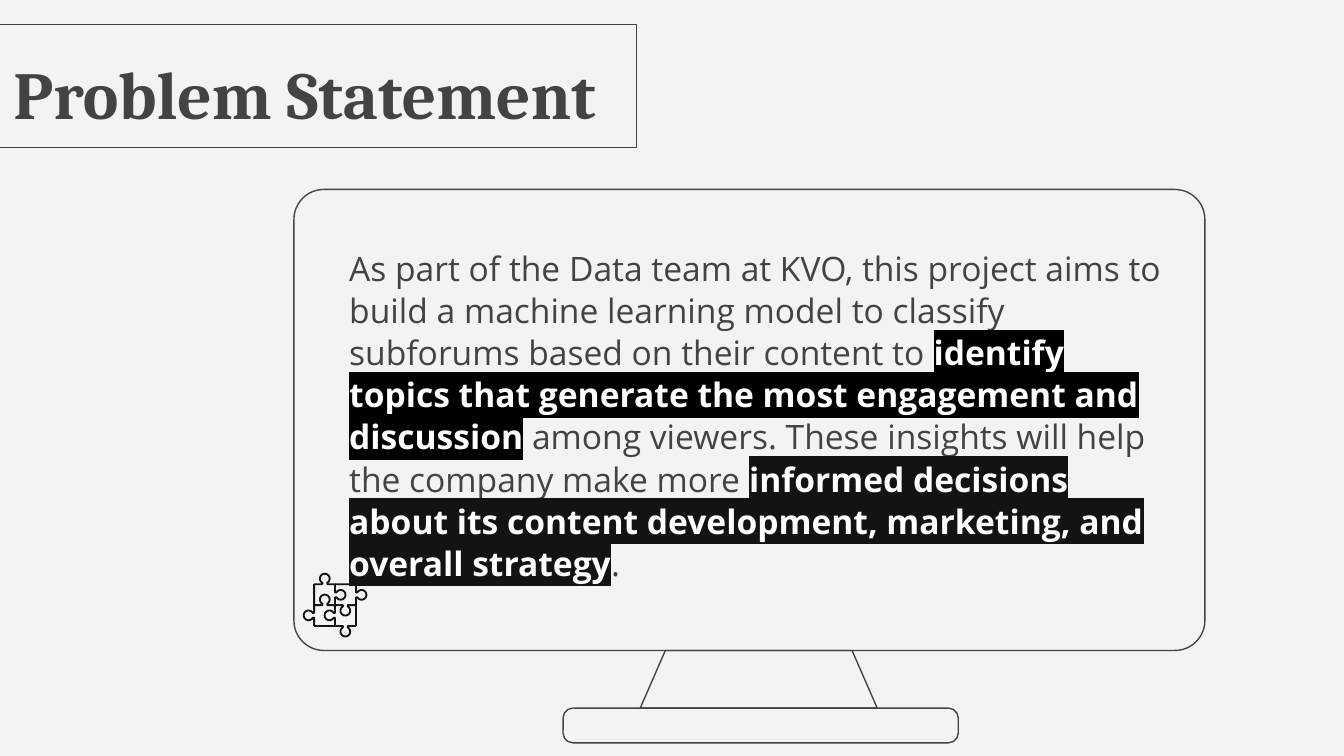
from math import cos, radians, sin

from lxml.etree import SubElement
from pptx import Presentation
from pptx.dml.color import RGBColor
from pptx.enum.shapes import MSO_SHAPE as Preset
from pptx.enum.text import MSO_ANCHOR as Anchor, MSO_AUTO_SIZE as AutoSize, PP_ALIGN as Align
from pptx.oxml.ns import qn
from pptx.util import Pt

PAPER = RGBColor(0xF3, 0xF3, 0xF3)
INK = RGBColor(0x43, 0x43, 0x43)
DARK = RGBColor(0x13, 0x13, 0x13)
BLACK = RGBColor(0, 0, 0)
WHITE = RGBColor(0xFF, 0xFF, 0xFF)

STATEMENT = [
    ("As part of the Data team at KVO, this project aims to build a machine learning model "
     "to classify subforums based on their content to ", None),
    ("identify topics that generate the most engagement and discussion", BLACK),
    (" among viewers. These insights will help the company make more ", None),
    ("informed decisions about its content development, marketing, and overall strategy", DARK),
    (".", None),
]


class SlideWriter:
    title_font = "Cambria"
    body_font = "Open Sans"
    inset = 7.2

    def __init__(self, page):
        self.page = page
        page.background.fill.solid()
        page.background.fill.fore_color.rgb = PAPER

    def finish(self, shape, fill=None, line=INK, width=0.75):
        shape.shadow.inherit = False
        if fill is None:
            shape.fill.background()
        else:
            shape.fill.solid()
            shape.fill.fore_color.rgb = fill
        shape.line.color.rgb = line
        shape.line.width = Pt(width)

    def preset(self, kind, left, top, width, height, corner=None, fill=None):
        shape = self.page.shapes.add_shape(kind, Pt(left), Pt(top), Pt(width), Pt(height))
        if corner is not None:
            shape.adjustments[0] = corner
        self.finish(shape, fill)

    def outline(self, contours, close=False, **style):
        builder = None
        for contour in contours:
            start, *rest = [(Pt(x), Pt(y)) for x, y in contour]
            if builder is None:
                builder = self.page.shapes.build_freeform(*start)
            else:
                builder.move_to(*start)
            builder.add_line_segments(rest, close=close)
        self.finish(builder.convert_to_shape(), **style)

    def frame(self, box, anchor):
        frame = box.text_frame
        frame.word_wrap = True
        frame.auto_size = AutoSize.NONE
        frame.vertical_anchor = anchor
        frame.margin_left = frame.margin_right = Pt(self.inset)
        frame.margin_top = frame.margin_bottom = Pt(self.inset)
        return frame

    def style(self, font, name, size, color, bold):
        font.name, font.size, font.bold = name, Pt(size), bold
        font.color.rgb = color

    def title(self, text, left, top, width, height):
        box = self.page.shapes.title
        box.left, box.top, box.width, box.height = Pt(left), Pt(top), Pt(width), Pt(height)
        frame = self.frame(box, Anchor.BOTTOM)
        frame.text = text
        para = frame.paragraphs[0]
        para.alignment = Align.LEFT
        self.style(para.runs[0].font, self.title_font, 36, INK, True)

    def body(self, parts, left, top, width, height):
        box = self.page.shapes.add_textbox(Pt(left), Pt(top), Pt(width), Pt(height))
        para = self.frame(box, Anchor.TOP).paragraphs[0]
        para.line_spacing = Pt(22.6)
        for text, marker in parts:
            span = para.add_run()
            span.text = text
            marked = marker is not None
            self.style(span.font, self.body_font, 18, WHITE if marked else INK, marked)
            if marked:
                self.highlight(span, marker)

    def highlight(self, span, color):
        props = span.font._element
        mark = SubElement(props, qn("a:highlight"))
        SubElement(mark, qn("a:srgbClr")).set("val", str(color))
        props.find(qn("a:solidFill")).addnext(mark)


def puzzle_contours(center_x, center_y, half=11.2, knob=5.5, reach=3, radius=2.6):
    """Four outer edges and four inner seams, each a quarter turn from the last."""
    def knobbed(start, end, level):
        arc = [(-knob + radius * sin(radians(a)), level - reach - radius * cos(radians(a)))
               for a in range(-150, 151, 15)]
        neck_left, neck_right = (arc[0][0], level), (arc[-1][0], level)
        return [(start, level), neck_left, *arc, neck_right, (end, level)]

    contours = []
    for turn in range(4):
        for contour in (knobbed(-half, half, -half), knobbed(-half, 0, 0)):
            for _ in range(turn):
                contour = [(-y, x) for x, y in contour]
            contours.append([(center_x + x, center_y + y) for x, y in contour])
    return contours


def main():
    deck = Presentation()
    deck.slide_width, deck.slide_height = Pt(720), Pt(405)
    writer = SlideWriter(deck.slides.add_slide(deck.slide_layouts[5]))

    # Title in its frame
    writer.preset(Preset.RECTANGLE, -26, 13, 367, 66)
    writer.title("Problem Statement", 0, 16, 362, 62.5)

    # Monitor: screen, foot and neck
    writer.preset(Preset.ROUNDED_RECTANGLE, 157.5, 101.5, 488, 247, corner=0.065, fill=PAPER)
    writer.preset(Preset.ROUNDED_RECTANGLE, 301.7, 379.4, 211.7, 18.6, corner=0.28)
    writer.outline([[(356.5, 348.5), (343, 379.4), (470, 379.4), (456.5, 348.5)]], close=True)

    # Statement on the screen
    writer.body(STATEMENT, 180, 124.5, 455, 182)

    # Puzzle icon
    writer.outline(puzzle_contours(179.5, 324.2), line=DARK, width=1)

    deck.save("out.pptx")


if __name__ == "__main__":
    main()
